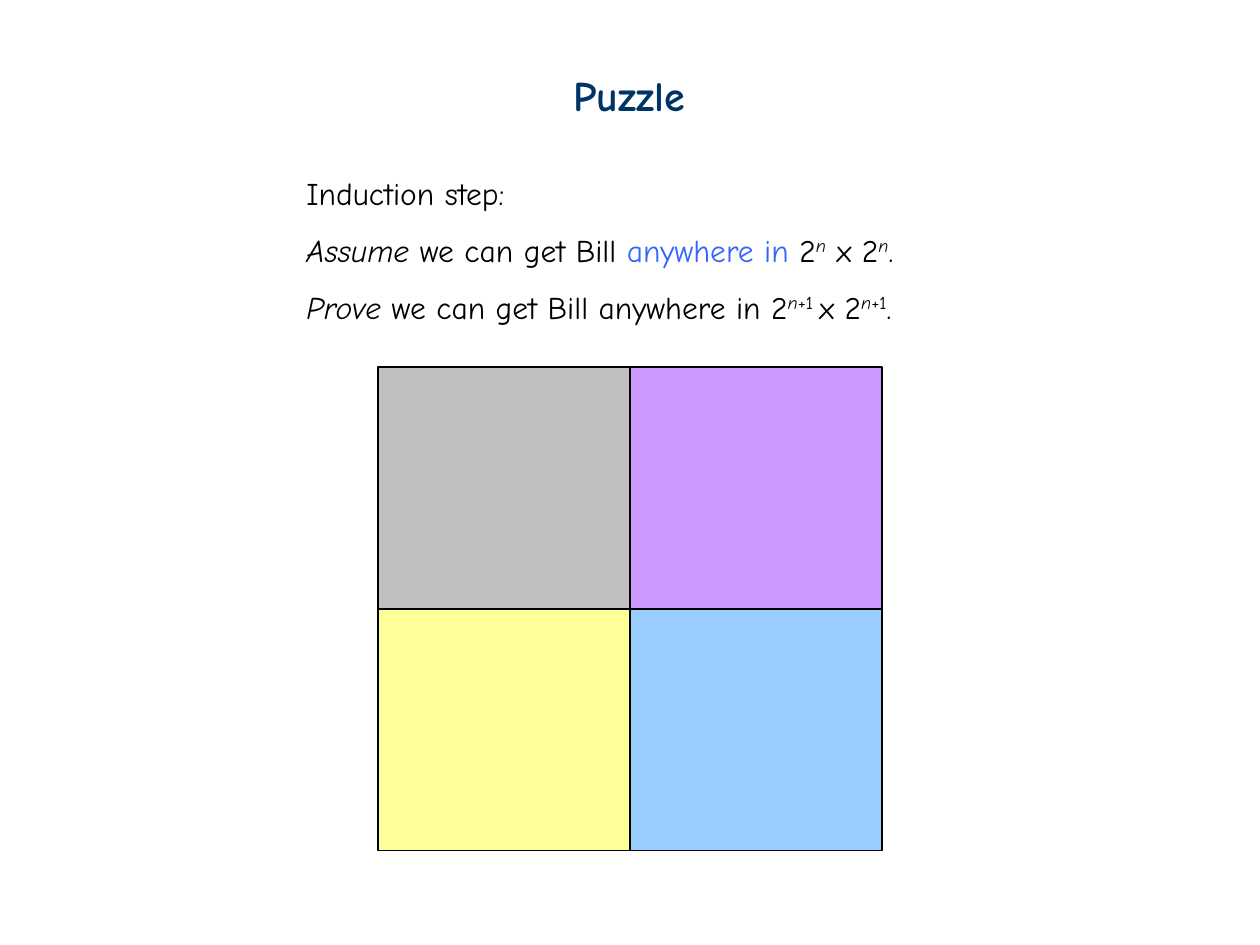
from pptx import Presentation
from pptx import util as u
from pptx.dml.color import RGBColor
from pptx.enum import shapes, text

PX = 914400 // 126
FONT = "Comic Neue"
BLACK = RGBColor(0x00, 0x00, 0x00)
NAVY = RGBColor(0x00, 0x33, 0x66)
BLUE = RGBColor(0x33, 0x66, 0xFF)
GRAY = RGBColor(0xC0, 0xC0, 0xC0)
PURPLE = RGBColor(0xCC, 0x99, 0xFF)
YELLOW = RGBColor(0xFF, 0xFF, 0x99)
SKY = RGBColor(0x99, 0xCC, 0xFF)


def add_run(paragraph, content, size=18, color=BLACK, bold=False, italic=False, raised=False):
    run = paragraph.add_run()
    run.text = content
    run.font.name = FONT
    run.font.size = u.Pt(size)
    run.font.color.rgb = color
    run.font.bold = bold
    run.font.italic = italic
    if raised:
        run.font._element.set("baseline", "30000")


presentation = Presentation()
presentation.slide_width = 1260 * PX
presentation.slide_height = 945 * PX
slide = presentation.slides.add_slide(presentation.slide_layouts[5])

# Title
title = slide.shapes.title
title.left, title.top, title.width, title.height = 554 * PX, 63 * PX, 150 * PX, 63 * PX
title.text_frame.word_wrap = False
title.text_frame.auto_size = text.MSO_AUTO_SIZE.NONE
title.text_frame.vertical_anchor = text.MSO_ANCHOR.TOP
title_paragraph = title.text_frame.paragraphs[0]
title_paragraph.alignment = text.PP_ALIGN.CENTER
add_run(title_paragraph, "Puzzle", size=24, color=NAVY, bold=True)

# Board split into four quadrants
CELL_WIDTH, CELL_HEIGHT = 252, 242
for row, colors in enumerate([(GRAY, PURPLE), (YELLOW, SKY)]):
    for column, color in enumerate(colors):
        quadrant = slide.shapes.add_shape(
            shapes.MSO_SHAPE.RECTANGLE,
            (378 + column * CELL_WIDTH) * PX, (367 + row * CELL_HEIGHT) * PX,
            CELL_WIDTH * PX, CELL_HEIGHT * PX)
        quadrant.shadow.inherit = False
        quadrant.fill.solid()
        quadrant.fill.fore_color.rgb = color
        quadrant.line.color.rgb = BLACK
        quadrant.line.width = u.Pt(0.75)

# Induction step
ITALIC = {"italic": True}
RAISED = {"raised": True}
EXPONENT = {"italic": True, "raised": True}
lines = [
    [("Induction step:", {})],
    [("Assume ", ITALIC), ("we can get Bill ", {}), ("anywhere in ", {"color": BLUE}),
     ("2", {}), ("n", EXPONENT), (" x 2", {}), ("n", EXPONENT), (".", {})],
    [("Prove", ITALIC), (" we can get Bill anywhere in 2", {}), ("n", EXPONENT),
     ("+1 ", RAISED), ("x 2", {}), ("n", EXPONENT), ("+1", RAISED), (".", {})],
]
step_box = slide.shapes.add_textbox(294 * PX, 168 * PX, 663 * PX, 164 * PX)
frame = step_box.text_frame
frame.word_wrap = True
for index, line in enumerate(lines):
    paragraph = frame.add_paragraph() if index else frame.paragraphs[0]
    if index:
        paragraph.line_spacing = 1.5
    for content, style in line:
        add_run(paragraph, content, **style)

presentation.save("out.pptx")
